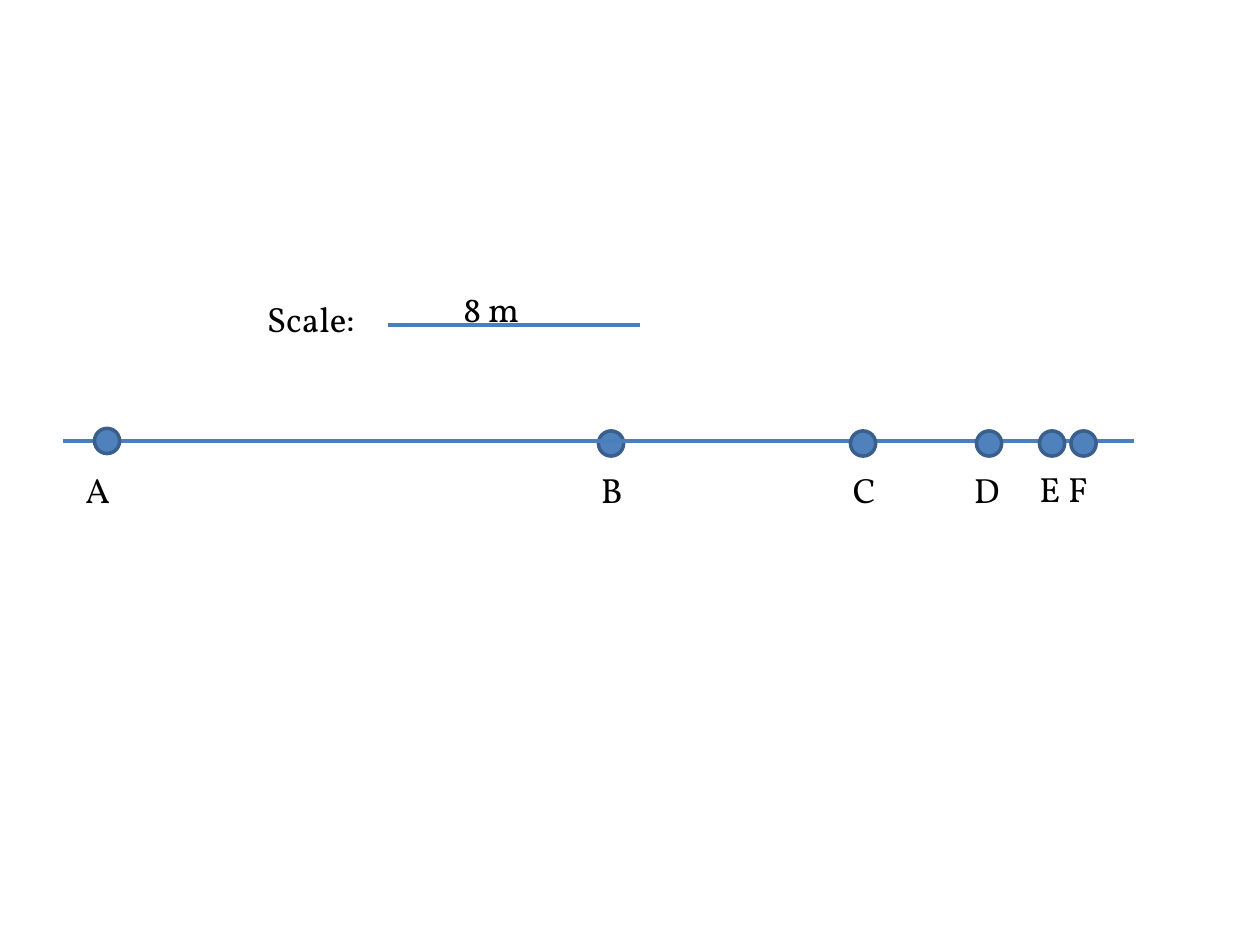
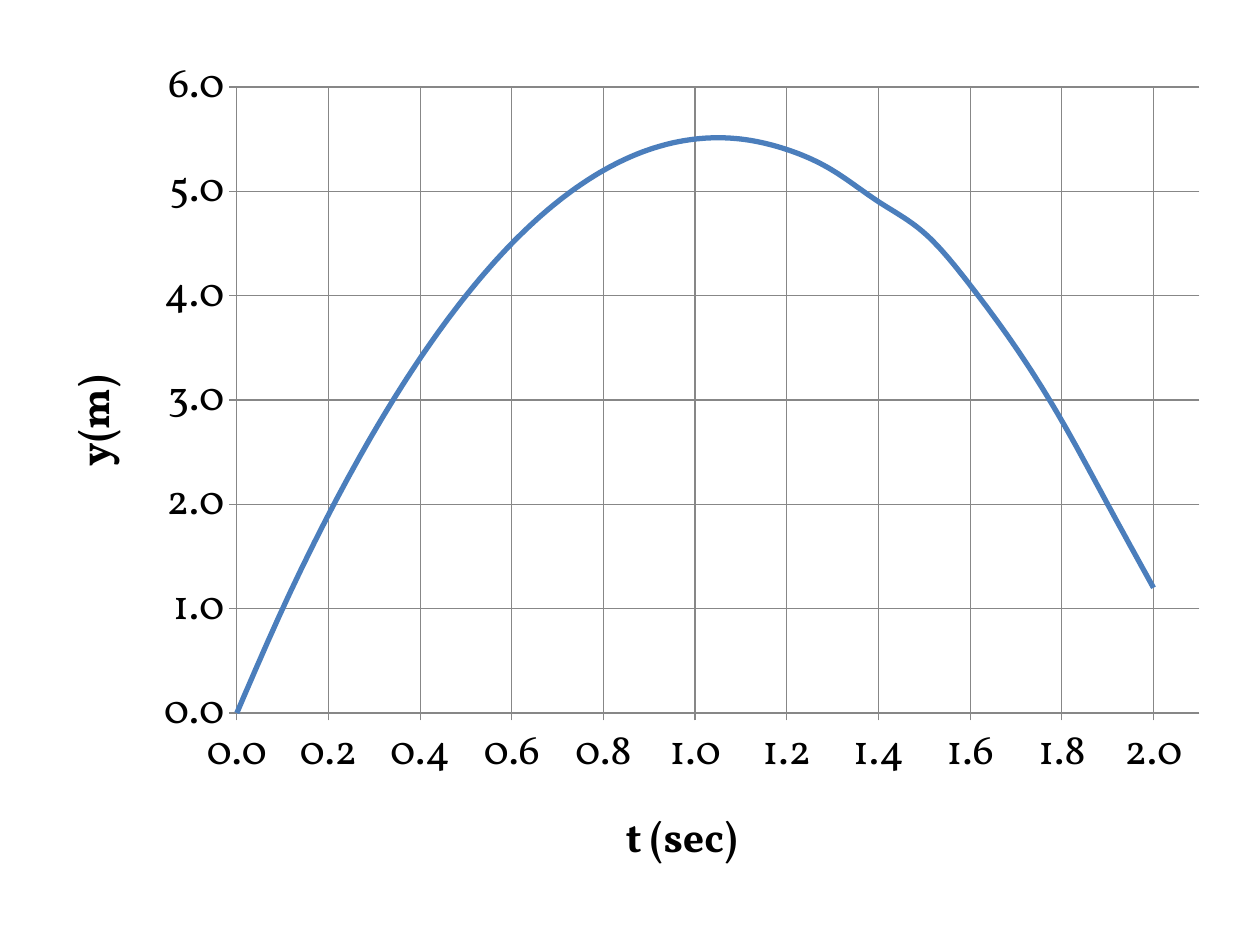
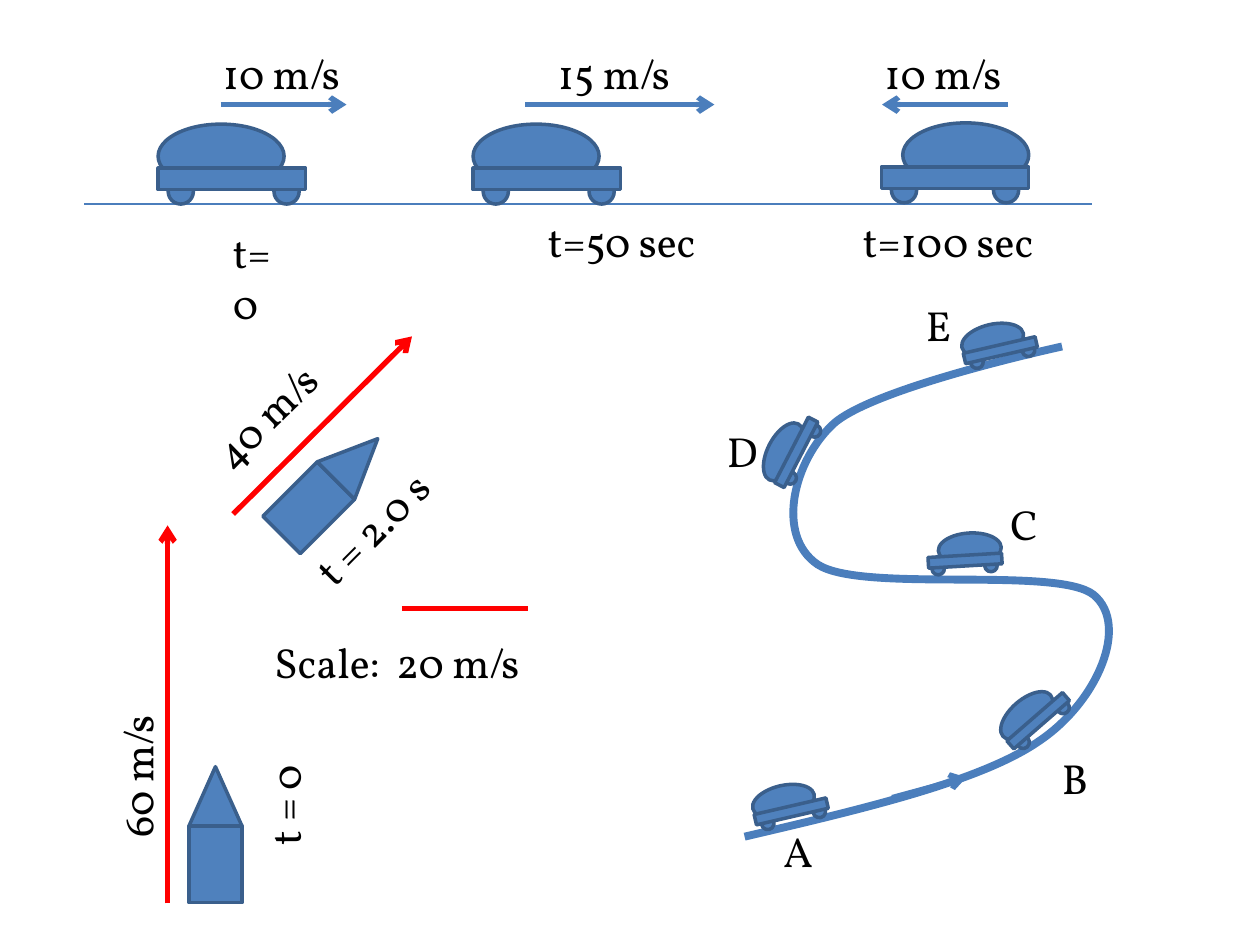
from math import cos, radians, sin

from lxml.etree import SubElement
from pptx import Presentation
from pptx.chart.data import XyChartData
from pptx.dml.color import RGBColor
from pptx.enum.chart import XL_CHART_TYPE, XL_MARKER_STYLE, XL_TICK_MARK
from pptx.enum.shapes import MSO_CONNECTOR, MSO_SHAPE
from pptx.enum.text import MSO_AUTO_SIZE
from pptx.oxml import parse_xml
from pptx.oxml.ns import nsdecls, qn
from pptx.util import Inches, Pt

BLUE, OUTLINE, STROKE = "4F81BD", "3A5F8C", "4B7EBC"
RED, BLACK, GRID = "FF0000", "000000", "878787"
FONT, CHART_FONT = "Vollkorn", "Calibri"


def color(value):
    return RGBColor.from_string(value)


def turned(x, y, angle):
    """Turn a point clockwise around the origin by an angle in degrees."""
    turn = radians(angle)
    return x * cos(turn) - y * sin(turn), x * sin(turn) + y * cos(turn)


class Sketch:
    """Holds the presentation, its style and the slide being drawn."""

    def __init__(self):
        self.deck = Presentation()
        self.deck.slide_width, self.deck.slide_height = Inches(10), Inches(7.5)
        self.slide = None

    def new_slide(self):
        self.slide = self.deck.slides.add_slide(self.deck.slide_layouts[6])

    def style_font(self, font, size, bold=False, name=FONT):
        styles = {"name": name, "size": Pt(size), "bold": bold}
        for key, value in styles.items():
            setattr(font, key, value)
        font.color.rgb = color(BLACK)

    def label(self, text, left, top, width, size=24, angle=0, wrap=False):
        height = 0.44 if size == 20 else 0.5
        box = self.slide.shapes.add_textbox(Inches(left), Inches(top), Inches(width), Inches(height))
        box.rotation = angle
        frame = box.text_frame
        frame.word_wrap = wrap
        frame.auto_size = MSO_AUTO_SIZE.SHAPE_TO_FIT_TEXT
        frame.text = text
        self.style_font(frame.paragraphs[0].runs[0].font, size)

    def solid(self, kind, center, width, height, angle=0, offset=(0, 0)):
        """Draw a blue shape whose offset from the center turns with the angle."""
        dx, dy = turned(*offset, angle)
        shape = self.slide.shapes.add_shape(
            kind, Inches(center[0] + dx - width / 2), Inches(center[1] + dy - height / 2),
            Inches(width), Inches(height))
        shape.rotation = angle
        shape.shadow.inherit = False
        shape.fill.solid()
        shape.fill.fore_color.rgb = color(BLUE)
        shape.line.color.rgb = color(OUTLINE)
        shape.line.width = Pt(2)

    def dot(self, x, y):
        self.solid(MSO_SHAPE.OVAL, (x, y), 0.2, 0.2)

    def line(self, start, end, width, stroke=STROKE, arrow=False):
        link = self.slide.shapes.add_connector(
            MSO_CONNECTOR.STRAIGHT, *(Inches(value) for value in (*start, *end)))
        link.line.color.rgb = color(stroke)
        link.line.width = Pt(width)
        if arrow:
            SubElement(link.line._get_or_add_ln(), qn("a:tailEnd"), type="arrow")
        SubElement(link._element.spPr, qn("a:effectLst"))

    def track(self, start, points, width):
        """Draw an open road; every three points are two handles and an end."""
        builder = self.slide.shapes.build_freeform(Inches(start[0]), Inches(start[1]), scale=1.0)
        builder.add_line_segments([(Inches(x), Inches(y)) for x, y in points], close=False)
        road = builder.convert_to_shape()
        outline = next(road._element.iter(qn("a:path")))
        segments = outline.findall(qn("a:lnTo"))
        for first in range(0, len(segments), 3):
            curve = SubElement(outline, qn("a:cubicBezTo"))
            for segment in segments[first:first + 3]:
                curve.append(segment[0])
                outline.remove(segment)
        road.shadow.inherit = False
        road.fill.background()
        road.line.color.rgb = color(STROKE)
        road.line.width = Pt(width)

    def car(self, center, scale=1.0, angle=0, facing=1, front=0.435):
        """Draw a car around the center of its body; facing is -1 for leftward."""
        for x in (-0.405, front):
            self.solid(MSO_SHAPE.OVAL, center, 0.2 * scale, 0.2 * scale, angle,
                       (x * facing * scale, 0.1 * scale))
        self.solid(MSO_SHAPE.OVAL, center, scale, 0.51 * scale, angle,
                   (-0.085 * facing * scale, -0.18 * scale))
        self.solid(MSO_SHAPE.RECTANGLE, center, 1.17 * scale, 0.17 * scale, angle)

    def rocket(self, center, angle=0):
        self.solid(MSO_SHAPE.RECTANGLE, center, 0.42, 0.61, angle)
        self.solid(MSO_SHAPE.ISOSCELES_TRIANGLE, center, 0.42, 0.47, angle, (0, -0.54))

    def axis(self, axis, title, maximum, major):
        scale = {"minimum_scale": 0, "maximum_scale": maximum, "major_unit": major,
                 "has_major_gridlines": True, "major_tick_mark": XL_TICK_MARK.OUTSIDE}
        for name, value in scale.items():
            setattr(axis, name, value)
        axis.tick_labels.number_format = "0.0"
        axis.tick_labels.number_format_is_linked = False
        self.style_font(axis.tick_labels.font, 24)
        for rule in (axis.format.line, axis.major_gridlines.format.line):
            rule.color.rgb = color(GRID)
            rule.width = Pt(0.75)
        frame = axis.axis_title.text_frame
        frame.text = title
        self.style_font(frame.paragraphs[0].runs[0].font, 24, bold=True)

    def curve_chart(self, times, heights):
        data = XyChartData()
        series = data.add_series("Series 1")
        for time, height in zip(times, heights):
            series.add_data_point(time, height)
        left, top, width, height = 0.29, 0.32, 9.43, 6.85
        chart = self.slide.shapes.add_chart(
            XL_CHART_TYPE.XY_SCATTER_SMOOTH_NO_MARKERS, Inches(left), Inches(top),
            Inches(width), Inches(height), data).chart
        chart.has_legend = chart.has_title = False
        self.style_font(chart.font, 10, name=CHART_FONT)
        self.axis(chart.category_axis, "t (sec)", 2.1, 0.2)
        self.axis(chart.value_axis, "y(m)", 6, 1)
        plot = chart.plots[0]
        plot.vary_by_categories = False
        ball = plot.series[0]
        for smooth in ball._element.findall(qn("c:smooth")):
            smooth.set("val", "1")
        ball.marker.style = XL_MARKER_STYLE.NONE
        ball.format.line.color.rgb = color(STROKE)
        ball.format.line.width = Pt(3)
        self.place_plot(chart, x=(1.88 - left) / width, y=(0.69 - top) / height,
                        w=7.64 / width, h=4.97 / height)

    def place_plot(self, chart, **fractions):
        area = chart._chartSpace.chart.plotArea
        for old in area.findall(qn("c:layout")):
            area.remove(old)
        sizes = "".join(f'<c:{name} val="{value}"/>' for name, value in fractions.items())
        area.insert(0, parse_xml(
            f'<c:layout {nsdecls("c")}><c:manualLayout><c:layoutTarget val="inner"/>'
            f'<c:xMode val="edge"/><c:yMode val="edge"/>{sizes}</c:manualLayout></c:layout>'))


def draw_positions(sketch):
    sketch.new_slide()
    sketch.dot(4.85, 3.52)
    sketch.line((0.5, 3.5), (9, 3.5), 2.25)
    sketch.dot(0.85, 3.5)
    for x in (6.85, 7.85, 8.35, 8.6):
        sketch.dot(x, 3.52)
    names = [("A", 0.58, 3.67, 0.42), ("B", 4.67, 3.67, 0.37), ("C", 6.67, 3.67, 0.4),
             ("D", 7.63, 3.67, 0.42), ("E", 8.15, 3.66, 0.37), ("F", 8.38, 3.66, 0.36)]
    for name, left, top, width in names:
        sketch.label(name, left, top, width, 20)
    sketch.line((3.08, 2.58), (5.08, 2.58), 2.25)
    sketch.label("8 m", 3.58, 2.23, 0.66, 20)
    sketch.label("Scale:", 2.02, 2.31, 0.9, 20)


def draw_height_chart(sketch):
    sketch.new_slide()
    heights = [0, 1, 1.9, 2.7, 3.4, 4, 4.5, 4.9, 5.2, 5.4, 5.5,
               5.5, 5.4, 5.2, 4.9, 4.6, 4.1, 3.5, 2.8, 2, 1.2]
    sketch.curve_chart([step / 10 for step in range(len(heights))], heights)


def draw_road(sketch):
    sketch.line((0.67, 1.62), (8.67, 1.62), 0.75)
    sketch.car((1.84, 1.42))
    sketch.car((4.34, 1.42))
    sketch.car((7.58, 1.41), facing=-1, front=0.405)
    for start, end in ((1.75, 2.75), (4.17, 5.67), (8, 7)):
        sketch.line((start, 0.83), (end, 0.83), 3, arrow=True)
    for speed, left in (("10 m/s", 1.67), ("15 m/s", 4.33), ("10 m/s", 6.92)):
        sketch.label(speed, left, 0.33, 1.27)
    sketch.label("t=0", 1.75, 1.75, 0.68, wrap=True)
    sketch.label("t=50 sec", 4.25, 1.66, 1.39)
    sketch.label("t=100 sec", 6.75, 1.66, 1.56)


def draw_rockets(sketch):
    sketch.rocket((1.71, 6.86))
    sketch.rocket((2.45, 4.03), 45)
    sketch.line((1.33, 7.17), (1.33, 4.17), 3, RED, arrow=True)
    sketch.line((1.85, 4.08), (3.27, 2.67), 3, RED, arrow=True)
    sketch.label("60 m/s", 0.45, 5.86, 1.27, angle=270)
    sketch.label("40 m/s", 1.5, 3.02, 1.27, angle=315.8)
    sketch.label("t = 0", 1.83, 6.13, 0.85, angle=270)
    sketch.label("t = 2.0 s", 2.3, 3.93, 1.33, angle=315)
    sketch.line((3.19, 4.83), (4.19, 4.83), 3, RED)
    sketch.label("Scale:  20 m/s", 2.08, 5, 2.27)


def draw_winding_track(sketch):
    sketch.track((5.91, 6.64), [
        (6.85, 6.42), (7.79, 6.2), (8.25, 5.88),
        (8.71, 5.57), (8.97, 4.96), (8.68, 4.72),
        (8.39, 4.49), (6.84, 4.71), (6.49, 4.48),
        (6.15, 4.25), (6.3, 3.65), (6.62, 3.36),
        (6.95, 3.07), (8.43, 2.75), (8.43, 2.75)], 4.5)
    stops = [("A", (6.28, 6.44), 347, 1, 6.12, 6.5, 0.46),
             ("B", (8.24, 5.72), 319, 1, 8.33, 5.92, 0.41),
             ("C", (7.66, 4.45), 356.6, -1, 7.92, 3.91, 0.44),
             ("D", (6.32, 3.59), 297.3, 1, 5.67, 3.33, 0.46),
             ("E", (7.94, 2.78), 347, 1, 7.25, 2.33, 0.41)]
    for name, center, angle, facing, left, top, width in stops:
        sketch.car(center, 0.5, angle, facing)
        sketch.label(name, left, top, width)
    sketch.line((7.08, 6.33), (7.67, 6.17), 3, arrow=True)


def main():
    sketch = Sketch()
    draw_positions(sketch)
    draw_height_chart(sketch)
    sketch.new_slide()
    draw_road(sketch)
    draw_rockets(sketch)
    draw_winding_track(sketch)
    sketch.deck.save("out.pptx")


if __name__ == "__main__":
    main()
